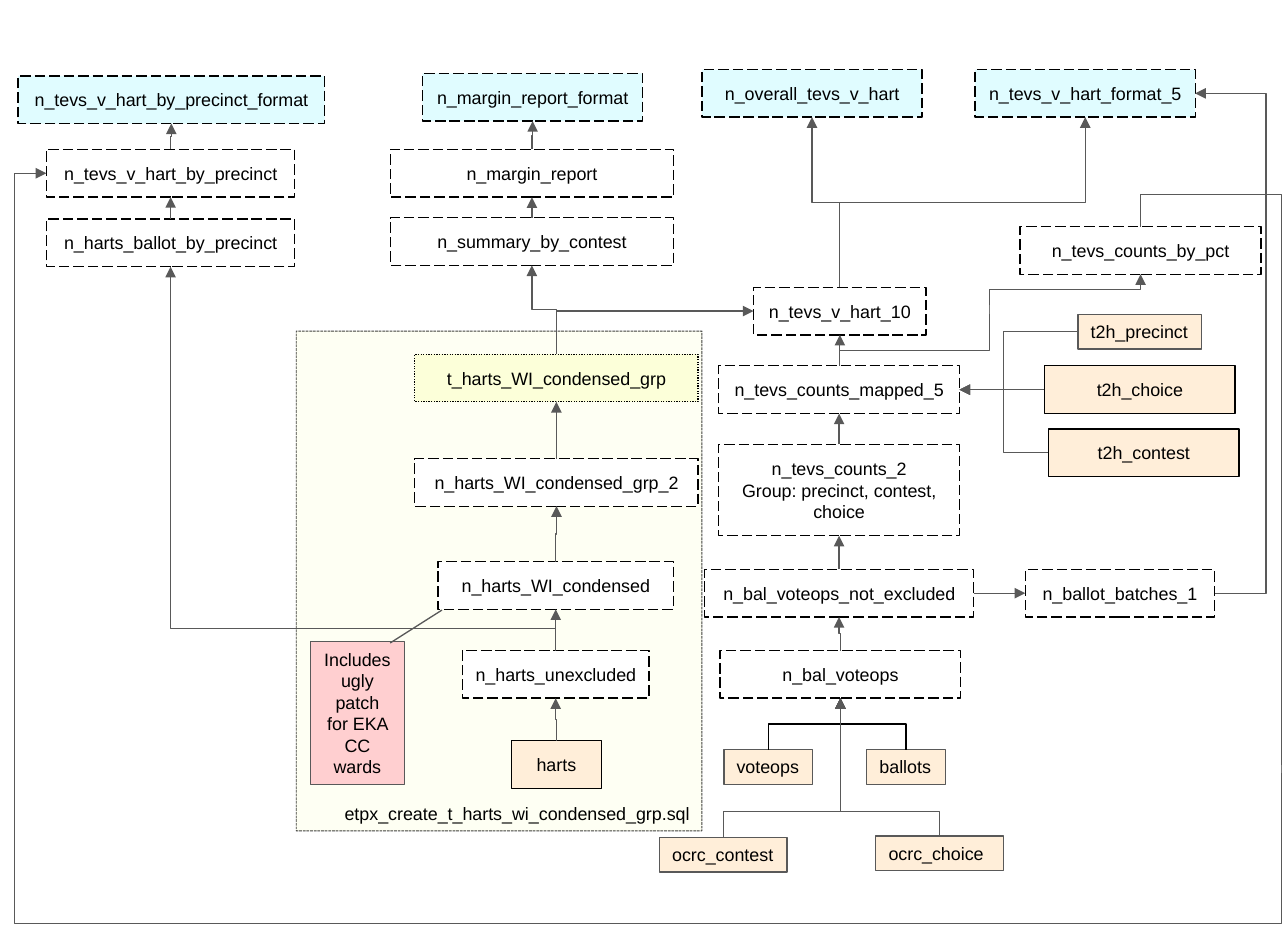
import pptx
import pptx.util
import pptx.dml.color
import pptx.enum.dml
import pptx.enum.shapes
import pptx.enum.text
import pptx.oxml
import pptx.oxml.ns
import lxml.etree

Inches = pptx.util.Inches
Shapes = pptx.enum.shapes.MSO_SHAPE
Dash = pptx.enum.dml.MSO_LINE
Align = pptx.enum.text.PP_ALIGN
Anchor = pptx.enum.text.MSO_ANCHOR
Connector = pptx.enum.shapes.MSO_CONNECTOR
qn = pptx.oxml.ns.qn

theme = {
    "font": "Arial", "size": pptx.util.Pt(10), "line": pptx.util.Pt(0.75),
    "thin": pptx.util.Pt(0.5), "black": "000000", "grey": "595959",
    "join": "777777", "white": "FFFFFF", "report": "E0FCFF",
    "table": "FFEED9", "script": "FCFFD9", "note": "FFCFD0",
}

# Box styles: fill, line colour, dash, alignment, anchor, vertical inset, wrap
CENTRE = {"align": Align.CENTER, "anchor": Anchor.MIDDLE, "inset": 0.1, "wrap": True}
CORNER = {"align": Align.LEFT, "anchor": Anchor.TOP, "inset": 0.05, "wrap": True}
styles = {
    "report": {**CENTRE, "fill": "report", "line": "black", "dash": Dash.LONG_DASH},
    "view": {**CENTRE, "fill": None, "line": "black", "dash": Dash.LONG_DASH},
    "white view": {**CENTRE, "fill": "white", "line": "black", "dash": Dash.LONG_DASH},
    "result": {**CENTRE, "fill": "script", "line": "black", "dash": Dash.ROUND_DOT},
    "table": {**CENTRE, "fill": "table", "line": "black", "dash": None},
    "wide tag": {**CORNER, "fill": "table", "line": "grey", "dash": None},
    "tag": {**CORNER, "fill": "table", "line": "grey", "dash": None, "wrap": False},
    "note": {**CENTRE, "fill": "note", "line": "grey", "dash": None, "inset": 0.05},
    "script": {"fill": "script", "line": "black", "dash": Dash.SQUARE_DOT, "inset": 0.05,
               "align": Align.RIGHT, "anchor": Anchor.BOTTOM, "wrap": True},
}

deck = pptx.Presentation()
deck.slide_width, deck.slide_height = Inches(10), Inches(7.32)
page = deck.slides.add_slide(deck.slide_layouts[6])
places = {}


def colour(name):
    return pptx.dml.color.RGBColor.from_string(theme[name])


def link(start, end, bends=None, vertical=True, ink="grey", arrow=True):
    """Join two points; bends are the page coordinates where the line turns."""
    (x1, y1), (x2, y2) = start, end
    dx, dy = x2 - x1, y2 - y1
    turned = vertical and bends is not None
    if turned:  # lay the elbow on its side; a quarter turn brings it upright
        mid_x, mid_y = (x1 + x2) / 2, (y1 + y2) / 2
        x1, y1, x2, y2 = mid_x - dy / 2, mid_y + dx / 2, mid_x + dy / 2, mid_y - dx / 2
    kind = Connector.STRAIGHT if bends is None else Connector.ELBOW
    wire = page.shapes.add_connector(kind, *[Inches(v) for v in (x1, y1, x2, y2)])
    wire.line.color.rgb = colour(ink)
    wire.line.width = theme["line"]
    props = wire._element.spPr
    if turned:
        props.find(qn("a:xfrm")).set("rot", "5400000")
    if bends is not None:
        shape = props.find(qn("a:prstGeom"))
        shape.set("prst", f"bentConnector{len(bends) + 2}")
        guides = shape.find(qn("a:avLst"))
        axes = [(start[1], dy)] if vertical else [(start[0], dx), (start[1], dy)]
        for number, (bend, (origin, span)) in enumerate(zip(bends, axes), 1):
            lxml.etree.SubElement(guides, qn("a:gd"), name=f"adj{number}",
                                  fmla=f"val {round((bend - origin) / span * 100000)}")
    if arrow:
        lxml.etree.SubElement(props.find(qn("a:ln")), qn("a:tailEnd"), type="triangle")
    lxml.etree.SubElement(props, qn("a:effectLst"))


# Boxes: text, style, left, top, width, height
boxes = [
    ("etpx_create_t_harts_wi_condensed_grp.sql", "script", 2.3, 2.57, 3.15, 3.88),
    # Reports
    ("n_tevs_v_hart_by_precinct_format", "report", 0.14, 0.59, 2.38, 0.37),
    ("n_margin_report_format", "report", 3.28, 0.57, 1.71, 0.37),
    ("n_overall_tevs_v_hart", "report", 5.45, 0.54, 1.71, 0.37),
    ("n_tevs_v_hart_format_5", "report", 7.57, 0.54, 1.71, 0.37),
    # Precinct and contest views
    ("n_tevs_v_hart_by_precinct", "view", 0.36, 1.16, 1.93, 0.37),
    ("n_harts_ballot_by_precinct", "view", 0.36, 1.7, 1.93, 0.37),
    ("n_margin_report", "white view", 3.03, 1.16, 2.2, 0.37),
    ("n_summary_by_contest", "white view", 3.03, 1.69, 2.2, 0.37),
    # Inside the script panel
    ("t_harts_WI_condensed_grp", "result", 3.22, 2.75, 2.2, 0.37),
    ("n_harts_WI_condensed_grp_2", "white view", 3.22, 3.56, 2.2, 0.37),
    ("n_harts_WI_condensed", "white view", 3.4, 4.36, 1.83, 0.37),
    ("n_harts_unexcluded", "white view", 3.59, 5.05, 1.45, 0.37),
    ("harts", "table", 3.97, 5.75, 0.7, 0.37),
    ("Includes ugly patch for EKA CC wards", "note", 2.41, 4.98, 0.73, 1.11),
    # Count views
    ("n_tevs_v_hart_10", "view", 5.85, 2.23, 1.34, 0.37),
    ("n_tevs_counts_mapped_5", "view", 5.58, 2.84, 1.87, 0.37),
    ("n_tevs_counts_2\nGroup: precinct, contest, choice", "view", 5.58, 3.45, 1.87, 0.71),
    ("n_bal_voteops_not_excluded", "view", 5.47, 4.42, 2.09, 0.37),
    ("n_bal_voteops", "view", 5.59, 5.05, 1.87, 0.37),
    ("n_tevs_counts_by_pct", "view", 7.92, 1.76, 1.87, 0.37),
    ("n_ballot_batches_1", "view", 7.96, 4.42, 1.47, 0.37),
    # Source tables
    ("t2h_precinct", "tag", 8.37, 2.44, 0.96, 0.27),
    ("t2h_choice", "table", 8.11, 2.84, 1.48, 0.37),
    ("t2h_contest", "table", 8.14, 3.33, 1.48, 0.37),
    ("voteops", "tag", 5.62, 5.82, 0.69, 0.27),
    ("ballots", "tag", 6.73, 5.82, 0.61, 0.27),
    ("ocrc_contest", "wide tag", 5.12, 6.5, 0.99, 0.27),
    ("ocrc_choice", "wide tag", 6.8, 6.49, 0.99, 0.27),
]
for text, style_name, left, top, width, height in boxes:
    style = styles[style_name]
    preset = Shapes.LINE_CALLOUT_1 if style_name == "note" else Shapes.RECTANGLE
    box = page.shapes.add_shape(preset, *[Inches(v) for v in (left, top, width, height)])
    box.shadow.inherit = False
    if style["fill"]:
        box.fill.solid()
        box.fill.fore_color.rgb = colour(style["fill"])
    else:
        box.fill.background()
    box.line.color.rgb = colour(style["line"])
    box.line.width = theme["line"]
    if style["dash"]:
        box.line.dash_style = style["dash"]
    if style_name == "note":
        for index, value in enumerate((0.01, 0.85, -0.22, 1.4)):
            box.adjustments[index] = value
    if style_name == "script":  # see-through panel
        box.line.width = theme["thin"]
        shades = box._element.spPr.iter(qn("a:srgbClr"))
        for shade, alpha in zip(list(shades), ("29000", "75000")):
            lxml.etree.SubElement(shade, qn("a:alpha"), val=alpha)
    frame = box.text_frame
    frame.text = text
    settings = {"word_wrap": style["wrap"], "vertical_anchor": style["anchor"],
                "margin_top": Inches(style["inset"]), "margin_bottom": Inches(style["inset"])}
    for name, value in settings.items():
        setattr(frame, name, value)
    for para in frame.paragraphs:
        para.alignment = style["align"]
        for span in para.runs:
            for name, value in {"name": theme["font"], "size": theme["size"]}.items():
                setattr(span.font, name, value)
            span.font.color.rgb = colour("black")
    places[text.split("\n")[0]] = {
        "top": (left + width / 2, top), "bottom": (left + width / 2, top + height),
        "left": (left, top + height / 2), "right": (left + width, top + height / 2)}

# Upward arrows, turning halfway
chains = [
    ["harts", "n_harts_unexcluded", "n_harts_WI_condensed", "n_harts_WI_condensed_grp_2",
     "t_harts_WI_condensed_grp", "n_summary_by_contest", "n_margin_report",
     "n_margin_report_format"],
    ["n_harts_ballot_by_precinct", "n_tevs_v_hart_by_precinct",
     "n_tevs_v_hart_by_precinct_format"],
    ["n_bal_voteops", "n_bal_voteops_not_excluded", "n_tevs_counts_2",
     "n_tevs_counts_mapped_5", "n_tevs_v_hart_10", "n_overall_tevs_v_hart"],
    ["n_tevs_v_hart_10", "n_tevs_v_hart_format_5"],
    ["voteops", "n_bal_voteops"],
    ["ballots", "n_bal_voteops"],
]
for chain in chains:
    ink = "black" if chain[0] in ("voteops", "ballots") else "grey"
    for lower, upper in zip(chain, chain[1:]):
        start, end = places[lower]["top"], places[upper]["bottom"]
        link(start, end, [(start[1] + end[1]) / 2], ink=ink)

# Upward arrows with a set turn
for lower, upper, bend in [("n_harts_unexcluded", "n_harts_ballot_by_precinct", 4.88),
                           ("ocrc_contest", "n_bal_voteops", 6.3),
                           ("ocrc_choice", "n_bal_voteops", 6.3)]:
    link(places[lower]["top"], places[upper]["bottom"], [bend])

# Sideways arrows
mapped = places["n_tevs_counts_mapped_5"]
batches = places["n_ballot_batches_1"]
for table in ("t2h_precinct", "t2h_choice", "t2h_contest"):
    link(places[table]["left"], mapped["right"], [7.79], vertical=False)
link(places["n_bal_voteops_not_excluded"]["right"], batches["left"], [7.76], vertical=False)
link(batches["right"], places["n_tevs_v_hart_format_5"]["right"], [9.83], vertical=False)
link(places["t_harts_WI_condensed_grp"]["top"], places["n_tevs_v_hart_10"]["left"], [])

# Mapped counts to counts by precinct, in three joined pieces
by_pct = places["n_tevs_counts_by_pct"]
link(mapped["top"], (7.68, 2.44), [2.72], arrow=False)
link((7.68, 2.44), (7.68, 2.37), ink="join", arrow=False)
link((7.68, 2.37), by_pct["bottom"], [2.25])

# Counts by precinct round the page edge to the precinct view
link(by_pct["top"], (9.95, 5.94), [1.51], arrow=False)
link((9.95, 5.94), (9.95, 6), ink="join", arrow=False)
link(places["n_tevs_v_hart_by_precinct"]["left"], (9.95, 6), [0.11, 7.17],
     vertical=False, arrow=False)
edge_line = page.shapes[-1].line._get_or_add_ln()
lxml.etree.SubElement(edge_line, qn("a:headEnd"), type="triangle")

deck.save("out.pptx")
